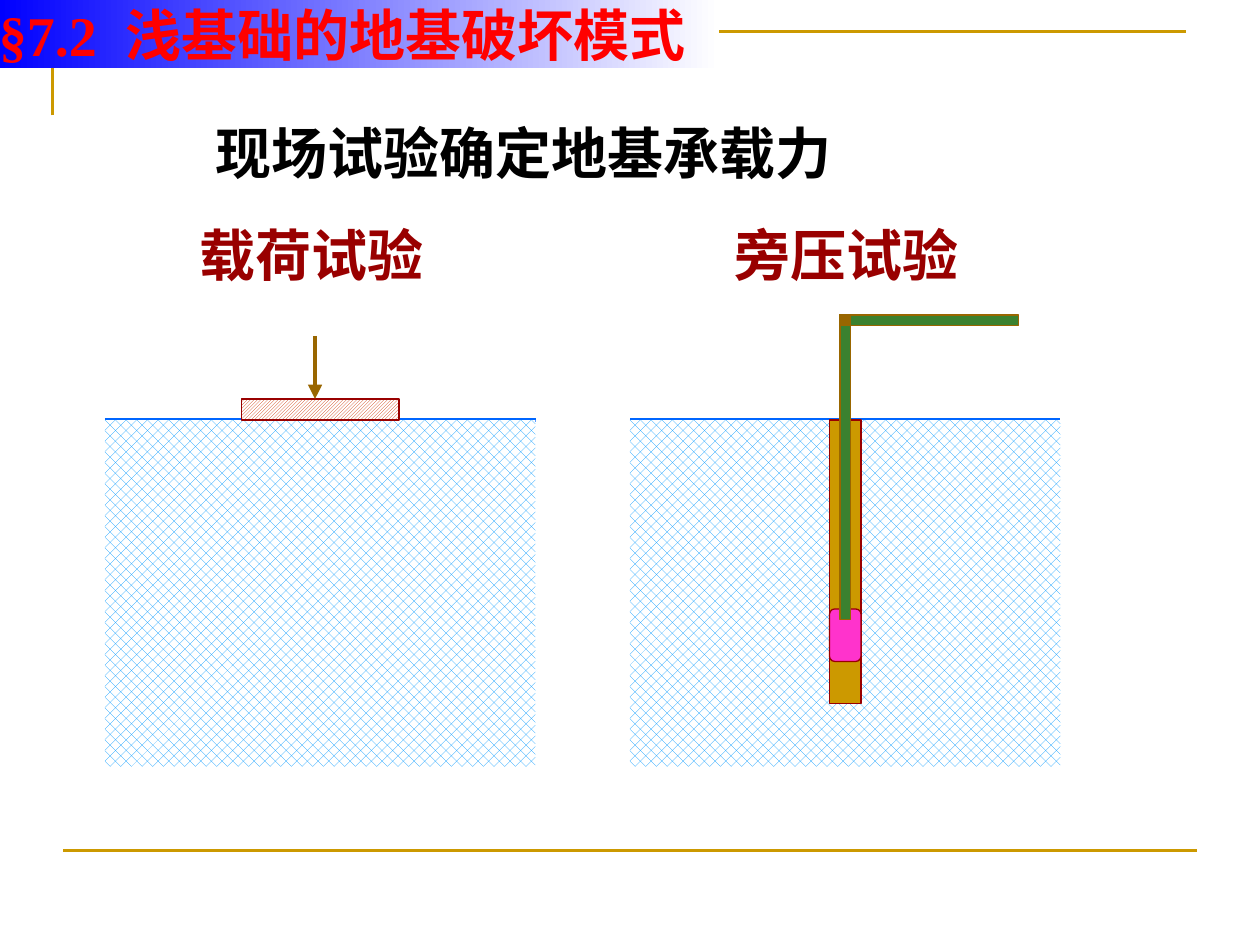
"""Build the slide on field tests for the bearing capacity of a foundation soil."""
from dataclasses import dataclass
from typing import Optional

import pptx
import pptx.dml.color
import pptx.enum.dml
import pptx.enum.shapes
import pptx.enum.text
import pptx.oxml.ns
import pptx.util

PX = pptx.util.Inches(1) // 120
CJK = "Noto Sans CJK SC"
GOLD, BROWN, DARK_RED, GREEN = "CC9900", "996600", "990000", "3B812F"
SHAPE = pptx.enum.shapes.MSO_SHAPE
SOIL_TOP, SOIL_WIDTH, SOIL_HEIGHT = 400, 410, 330


@dataclass
class Box:
    x: int
    y: int
    w: int
    h: int
    fill: str
    line: Optional[str] = None
    pattern: Optional[str] = None
    kind: int = SHAPE.RECTANGLE


@dataclass
class Test:
    name: str
    label_x: int
    soil_x: int


TESTS = [Test("载荷试验", 190, 100), Test("旁压试验", 700, 600)]
PLATE = Box(230, 380, 150, 20, "CC3300", DARK_RED, "dkUpDiag")
BOREHOLE = Box(790, SOIL_TOP, 30, 270, GOLD, DARK_RED)
PROBE = [
    Box(790, 580, 30, 50, "FF33CC", DARK_RED, kind=SHAPE.ROUNDED_RECTANGLE),
    Box(800, 300, 10, 290, GREEN, BROWN),
    Box(800, 300, 170, 10, GREEN, BROWN),
    Box(800, 300, 10, 10, BROWN, BROWN),
]


def rgb(value: str) -> pptx.dml.color.RGBColor:
    return pptx.dml.color.RGBColor.from_string(value)


def add_child(parent, tag: str, **attributes: str) -> None:
    parent.append(parent.makeelement(pptx.oxml.ns.qn(tag), attributes))


def set_line(line, color: str, width: float) -> None:
    line.color.rgb = rgb(color)
    line.width = pptx.util.Pt(width)


def add_box(shapes, box: Box):
    s = shapes.add_shape(box.kind, box.x * PX, box.y * PX, box.w * PX, box.h * PX)
    s.shadow.inherit = False
    if box.pattern is None:
        s.fill.solid()
        s.fill.fore_color.rgb = rgb(box.fill)
    else:
        s.fill.patterned()
        s.fill.pattern = pptx.enum.dml.MSO_PATTERN.from_xml(box.pattern)
        s.fill.fore_color.rgb = rgb(box.fill)
        s.fill.back_color.rgb = rgb("FFFFFF")
    if box.line:
        set_line(s.line, box.line, 0.75)
    else:
        s.line.fill.background()
    return s


def add_line(shapes, x1: int, y1: int, x2: int, y2: int, color: str,
             width: float, arrow: bool = False) -> None:
    c = shapes.add_connector(pptx.enum.shapes.MSO_CONNECTOR.STRAIGHT,
                             x1 * PX, y1 * PX, x2 * PX, y2 * PX)
    set_line(c.line, color, width)
    sp_pr = c._element.spPr
    if arrow:
        add_child(sp_pr.find(pptx.oxml.ns.qn("a:ln")), "a:tailEnd", type="triangle")
    add_child(sp_pr, "a:effectLst")


def add_run(p, text: str, font: str, color: str, spacing: int = 0) -> None:
    r = p.add_run()
    r.text = text
    r.font.name = font
    r.font.size = pptx.util.Pt(32)
    r.font.bold = True
    r.font.color.rgb = rgb(color)
    r_pr = r._r.get_or_add_rPr()
    add_child(r_pr, "a:ea", typeface=CJK)
    if spacing:
        r_pr.set("spc", str(spacing))


def prepare_text(s, inset: bool = False):
    tf = s.text_frame
    tf.word_wrap = True
    tf.auto_size = pptx.enum.text.MSO_AUTO_SIZE.NONE
    tf.vertical_anchor = pptx.enum.text.MSO_ANCHOR.MIDDLE
    if not inset:
        tf.margin_left = tf.margin_right = tf.margin_top = tf.margin_bottom = 0
    p = tf.paragraphs[0]
    p.alignment = pptx.enum.text.PP_ALIGN.LEFT
    return p


def add_frame(shapes) -> None:
    builder = shapes.build_freeform(50, 110, scale=PX)
    builder.add_line_segments([(50, 30), (1130, 30)], close=False)
    s = builder.convert_to_shape()
    s.shadow.inherit = False
    s.fill.background()
    set_line(s.line, GOLD, 1.5)
    add_line(shapes, 60, 810, 1140, 810, GOLD, 1.5)


def add_title(s) -> None:
    s.left, s.top, s.width, s.height = 193 * PX, 109 * PX, 760 * PX, 71 * PX
    add_run(prepare_text(s, inset=True), "现场试验确定地基承载力", CJK, "000000")


def add_test(shapes, test: Test) -> None:
    soil = shapes.add_group_shape().shapes
    x = test.soil_x
    add_line(soil, x, SOIL_TOP, x + SOIL_WIDTH, SOIL_TOP, "0066FF", 2.75)
    add_box(soil, Box(x, SOIL_TOP, SOIL_WIDTH, SOIL_HEIGHT, "0099FF", pattern="pct40"))
    label = shapes.add_textbox(test.label_x * PX, 210 * PX, 250 * PX, 64 * PX)
    add_run(prepare_text(label), test.name, "Arial", DARK_RED)


def add_banner(shapes) -> None:
    s = add_box(shapes, Box(-1, 0, 686, 65, "0000FF"))
    s.fill.gradient()
    s.fill.gradient_angle = 0
    for stop, position, color in zip(s.fill.gradient_stops, (0, 1), ("0000FF", "FFFFFF")):
        stop.position = position
        stop.color.rgb = rgb(color)
    p = prepare_text(s)
    for text, spacing in (("§7.2", 0), (" ", 800), ("浅基础的地基破坏模式", 0)):
        add_run(p, text, "Times New Roman", "FF0000", spacing)


def main() -> None:
    prs = pptx.Presentation()
    prs.slide_width, prs.slide_height = 1200 * PX, 900 * PX
    slide = prs.slides.add_slide(prs.slide_layouts[5])
    shapes = slide.shapes
    add_frame(shapes)
    add_title(shapes.title)
    for test in TESTS:
        add_test(shapes, test)
    add_box(shapes, PLATE)
    add_line(shapes, 300, 320, 300, PLATE.y, BROWN, 2.75, arrow=True)
    add_box(shapes, BOREHOLE)
    probe = shapes.add_group_shape().shapes
    for part in PROBE:
        add_box(probe, part)
    add_banner(shapes)
    prs.save("out.pptx")


if __name__ == "__main__":
    main()
